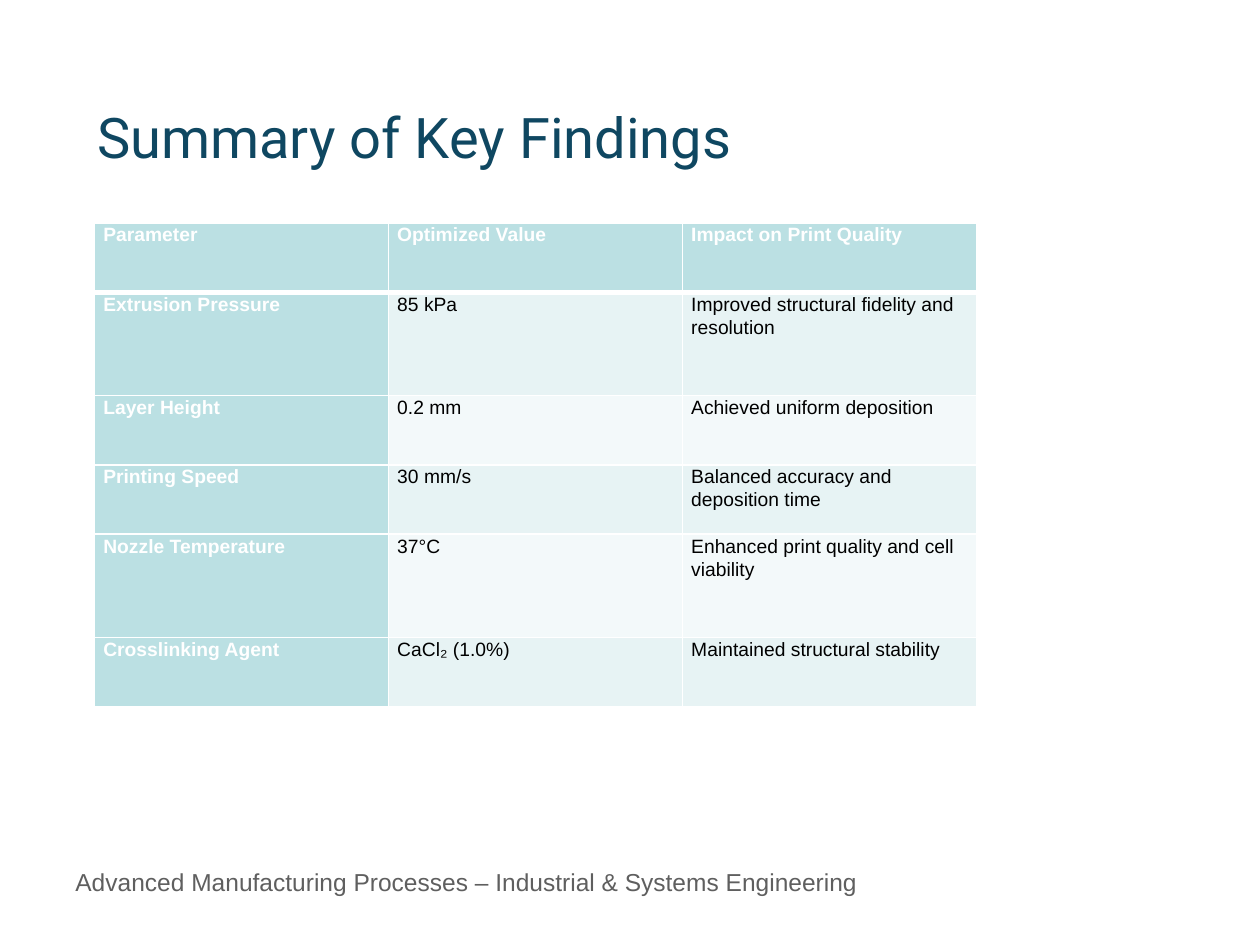
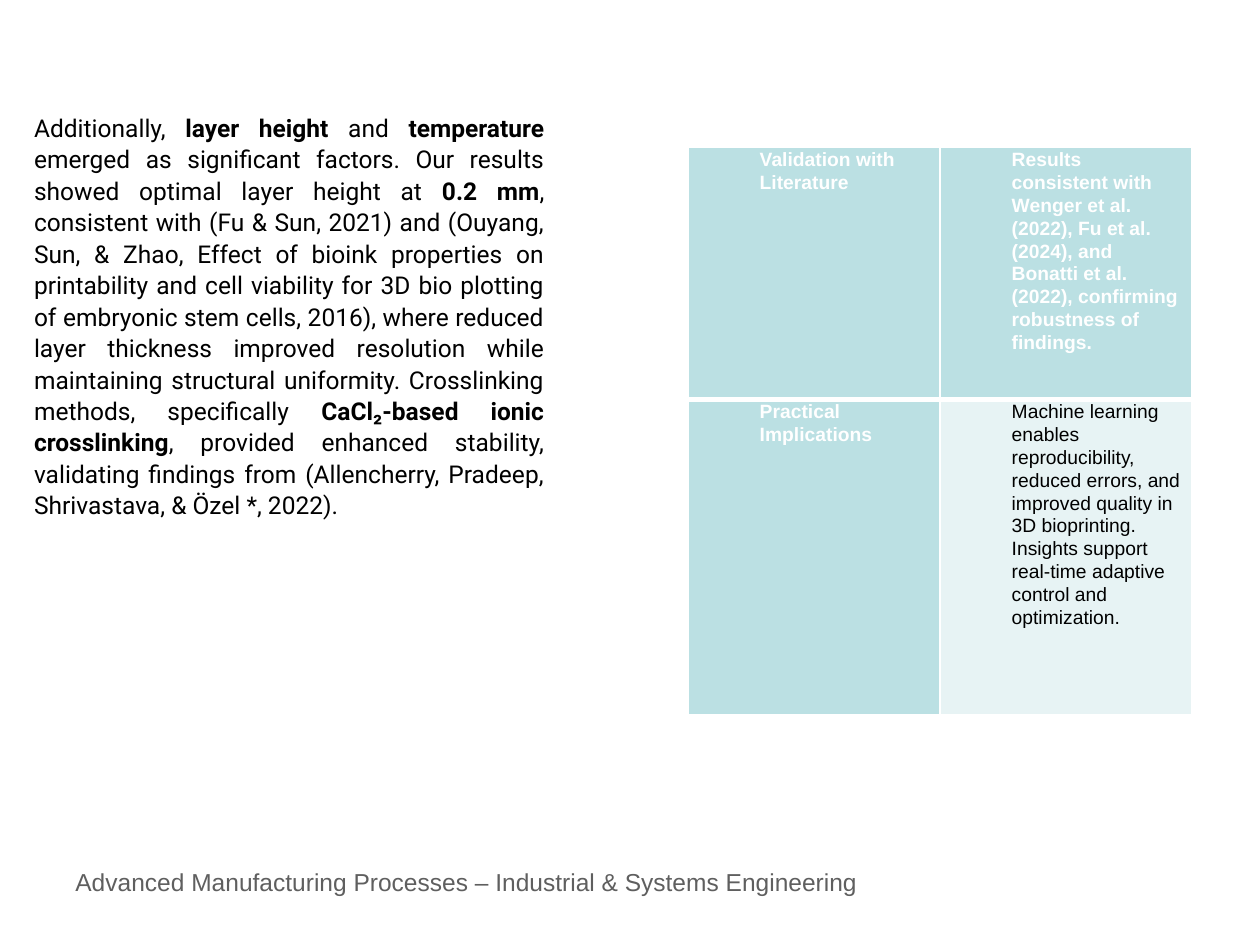
from pptx import Presentation
from pptx.dml.color import RGBColor
from pptx.enum.text import MSO_ANCHOR, MSO_AUTO_SIZE, PP_ALIGN
from pptx.oxml.ns import qn
from pptx.util import Inches, Pt
from lxml.etree import SubElement

COLORS = {
    "title": "0F4761", "footer": "5F5F5F", "text": "000000", "white": "FFFFFF",
    "header": "BBE0E3", "band_dark": "E7F3F4", "band_light": "F3F9FA",
}
TITLE_ONLY, TITLE_AND_BODY = 5, 1
FOOTER = "Advanced Manufacturing Processes – Industrial & Systems Engineering"

FINDINGS = [
    ["Parameter", "Optimized Value", "Impact on Print Quality"],
    ["Extrusion Pressure", "85 kPa", "Improved structural fidelity and resolution"],
    ["Layer Height", "0.2 mm", "Achieved uniform deposition"],
    ["Printing Speed", "30 mm/s", "Balanced accuracy and deposition time"],
    ["Nozzle Temperature", "37°C", "Enhanced print quality and cell viability"],
    ["Crosslinking Agent", "CaCl₂ (1.0%)", "Maintained structural stability"],
]
IMPLICATIONS = [
    ["Validation with Literature",
     "Results consistent with Wenger et al. (2022), Fu et al. (2024), and "
     "Bonatti et al. (2022), confirming robustness of findings."],
    ["Practical Implications",
     "Machine learning enables reproducibility, reduced errors, and improved quality "
     "in 3D bioprinting. Insights support real-time adaptive control and optimization."],
]
# Double asterisks switch bold on and off
DISCUSSION = (
    "Additionally, **layer height** and **temperature** emerged as significant factors. "
    "Our results showed optimal layer height at **0.2 mm**, consistent with "
    "(Fu & Sun, 2021) and (Ouyang, Sun, & Zhao, Effect of bioink properties on "
    "printability and cell viability for 3D bio plotting of embryonic stem cells, 2016), "
    "where reduced layer thickness improved resolution while maintaining structural "
    "uniformity. Crosslinking methods, specifically **CaCl₂-based ionic crosslinking**, "
    "provided enhanced stability, validating findings from (Allencherry, Pradeep, "
    "Shrivastava, & Özel *, 2022)."
)


def rgb(name):
    return RGBColor.from_string(COLORS[name])


def style(font, size, name, color, bold=False):
    font.size, font.name, font.bold = Pt(size), name, bold
    font.color.rgb = rgb(color)


def place(sp, box):
    sp.left, sp.top, sp.width, sp.height = map(Inches, box)
    sp.text_frame.auto_size = MSO_AUTO_SIZE.NONE


def add_footer(slide, box=(0.5, 6.83, 6.58, 0.34)):
    tf = slide.shapes.add_textbox(*map(Inches, box)).text_frame
    tf.word_wrap = True
    p = tf.paragraphs[0]
    p.text = FOOTER
    style(p.runs[0].font, 14, "Arial", "footer")


def add_title(slide, text, box):
    sp = slide.shapes.title
    place(sp, box)
    tf = sp.text_frame
    tf.text = text
    tf.vertical_anchor = MSO_ANCHOR.MIDDLE
    tf.margin_bottom = Inches(0.55)  # lifts the line above the table
    p = tf.paragraphs[0]
    p.alignment = PP_ALIGN.LEFT
    style(p.runs[0].font, 32, "Roboto", "title")


def add_discussion(slide, text, box):
    sp = slide.placeholders[1]
    place(sp, box)
    p = sp.text_frame.paragraphs[0]
    # Plain paragraph: no bullet, no indent
    pPr = p._p.get_or_add_pPr()
    pPr.set("marL", "0")
    pPr.set("indent", "0")
    SubElement(pPr, qn("a:buNone"))
    p.alignment = PP_ALIGN.JUSTIFY
    p.line_spacing, p.space_before, p.space_after = 1.07, Pt(0), Pt(8)
    for i, part in enumerate(text.split("**")):
        r = p.add_run()
        r.text = part
        style(r.font, 14, "Roboto", "text", bold=i % 2 == 1)


def add_borders(cell, widths):
    tcPr = cell._tc.get_or_add_tcPr()
    for side, width in widths.items():
        ln = SubElement(tcPr, qn(f"a:ln{side}"), w=str(Pt(width)))
        fill = SubElement(ln, qn("a:solidFill"))
        SubElement(fill, qn("a:srgbClr"), val=COLORS["white"])


def fill_cell(cell, text, row, col, indent):
    heading = row == 0 or col == 0
    band = "band_dark" if row % 2 else "band_light"
    # A thick rule parts the first row from the rest
    add_borders(cell, {"L": 1, "R": 1, "T": 3 if row == 1 else 1,
                       "B": 3 if row == 0 else 1})
    cell.fill.solid()
    cell.fill.fore_color.rgb = rgb("header" if heading else band)
    cell.margin_left = cell.margin_right = Inches(0.07)
    cell.margin_top = cell.margin_bottom = 0
    cell.text = text
    p = cell.text_frame.paragraphs[0]
    p._p.get_or_add_pPr().set("marL", str(Inches(indent)))
    p.line_spacing, p.space_after = 1.07, Pt(8)
    style(p.runs[0].font, 11, "Arial", "white" if heading else "text", heading)


def add_grid(slide, data, box, heights, indent=0):
    table = slide.shapes.add_table(len(data), len(data[0]), *map(Inches, box)).table
    for column in table.columns:
        column.width = Inches(box[2] / len(data[0]))
    for i, (values, height) in enumerate(zip(data, heights)):
        table.rows[i].height = Inches(height)
        for j, text in enumerate(values):
            fill_cell(table.cell(i, j), text, i, j, indent)


def build_findings(prs):
    slide = prs.slides.add_slide(prs.slide_layouts[TITLE_ONLY])
    add_footer(slide)
    add_title(slide, "Summary of Key Findings", (0.67, 0.89, 9, 0.88))
    add_grid(slide, FINDINGS, (0.75, 1.77, 7, 3.83),
             [0.55, 0.82, 0.55, 0.55, 0.82, 0.55])


def build_implications(prs):
    slide = prs.slides.add_slide(prs.slide_layouts[TITLE_AND_BODY])
    # This slide has no title
    title = slide.shapes.title._element
    title.getparent().remove(title)
    add_footer(slide)
    add_discussion(slide, DISCUSSION, (0.17, 0.83, 4.25, 3.37))
    add_grid(slide, IMPLICATIONS, (5.46, 1.17, 4, 4.5), [2, 2.5], indent=0.5)


def main():
    prs = Presentation()
    prs.slide_width, prs.slide_height = Inches(10), Inches(7.5)
    build_findings(prs)
    build_implications(prs)
    prs.save("out.pptx")


if __name__ == "__main__":
    main()
